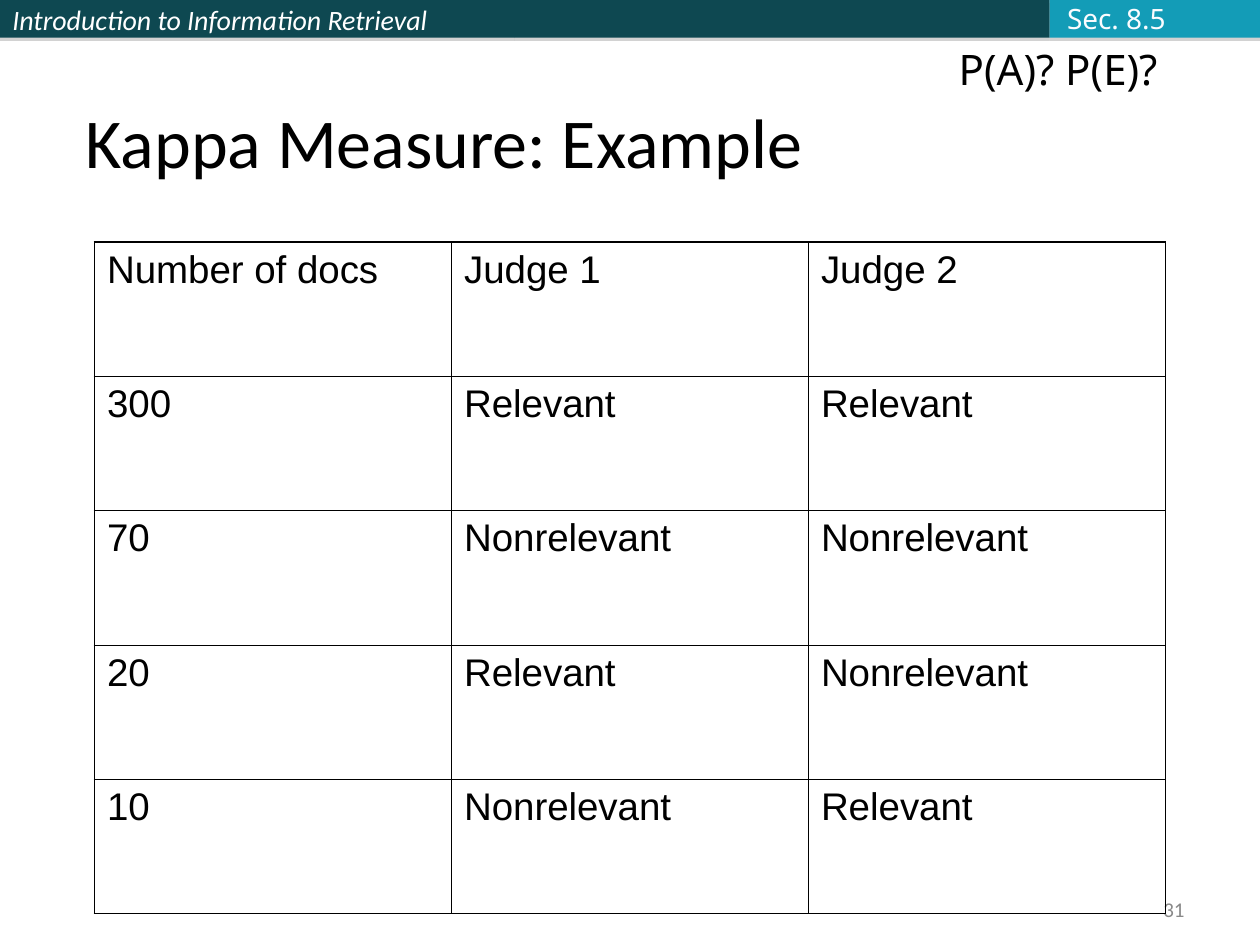
from lxml.etree import SubElement as Sub
from pptx import Presentation
from pptx.dml.color import RGBColor as Rgb
from pptx.enum.shapes import MSO_SHAPE as Form
from pptx.enum.text import MSO_ANCHOR as Anchor, PP_ALIGN as Align
from pptx.oxml.ns import qn
from pptx.util import Inches, Pt

HUES = {"dark": "0E4851", "teal": "139CB7", "white": "FFFFFF", "pale": "FBFCFF",
        "black": "000000", "gray": "898989", "shade": "808080"}

deck = Presentation()
deck.slide_width, deck.slide_height = Inches(10), Inches(7.5)
slide = deck.slides.add_slide(deck.slide_layouts[5])
shapes = slide.shapes


def area(left, top, wide, high):
    """Turn shares of the slide's size into lengths."""
    w, h = deck.slide_width, deck.slide_height
    return int(left * w), int(top * h), int(wide * w), int(high * h)


def write(frame, text, size, font="Calibri", hue="black", italic=False,
          align=Align.LEFT, anchor=Anchor.TOP, wrap=True):
    frame.word_wrap = wrap
    frame.vertical_anchor = anchor
    para = frame.paragraphs[0]
    para.alignment = align
    run = para.add_run()
    run.text = text
    run.font.size, run.font.name, run.font.italic = Pt(size), font, italic
    run.font.color.rgb = Rgb.from_string(HUES[hue])


# Header band: three bars side by side, each with a soft shadow
left = 0
bars = []
for wide, hue in ((0.408, "dark"), (0.425, "dark"), (0.167, "teal")):
    bar = shapes.add_shape(Form.RECTANGLE, *area(left, 0, wide, 0.04))
    bar.fill.solid()
    bar.fill.fore_color.rgb = Rgb.from_string(HUES[hue])
    bar.line.fill.background()
    bar.shadow.inherit = False
    glow = Sub(bar.element.spPr.find(qn("a:effectLst")), qn("a:outerShdw"),
               dist=str(Pt(1.8)), dir="5400000", rotWithShape="0")
    tint = Sub(glow, qn("a:srgbClr"), val=HUES["shade"])
    Sub(tint, qn("a:alpha"), val="35000")
    bars.append(bar)
    left += wide
write(bars[0].text_frame, "Introduction to Information Retrieval", 16,
      hue="white", italic=True, anchor=Anchor.MIDDLE)

# Page number
page = shapes.add_textbox(*area(0.717, 0.944, 0.233, 0.036))
write(page.text_frame, "31", 12, hue="gray", align=Align.RIGHT, anchor=Anchor.MIDDLE)

# Title
title = shapes.title
title.left, title.top, title.width, title.height = area(0.058, 0.056, 0.883, 0.144)
write(title.text_frame, "Kappa Measure: Example", 40, anchor=Anchor.BOTTOM)

# Table of judgments, with thin inner and thicker outer borders
rows = (("Number of docs", "Judge 1", "Judge 2"),
        ("300", "Relevant", "Relevant"),
        ("70", "Nonrelevant", "Nonrelevant"),
        ("20", "Relevant", "Nonrelevant"),
        ("10", "Nonrelevant", "Relevant"))
last_row, last_col = len(rows) - 1, len(rows[0]) - 1
table = shapes.add_table(len(rows), len(rows[0]), *area(0.075, 0.256, 0.85, 0.711)).table
table.first_row = table.horz_banding = False
for r, row in enumerate(rows):
    for c, text in enumerate(row):
        cell = table.cell(r, c)
        write(cell.text_frame, text, 22, font="Arial")
        props = cell._tc.get_or_add_tcPr()
        outer = {"L": c == 0, "R": c == last_col, "T": r == 0, "B": r == last_row}
        for side, edge in outer.items():
            line = Sub(props, qn(f"a:ln{side}"), w=str(Pt(1.08 if edge else 0.45)))
            Sub(Sub(line, qn("a:solidFill")), qn("a:srgbClr"), val=HUES["black"])
        cell.fill.background()

# Question and section label
ask = shapes.add_textbox(*area(0.751, 0.039, 0.178, 0.067))
write(ask.text_frame, "P(A)? P(E)?", 24, font="Noto Sans", wrap=False)
label = shapes.add_textbox(*area(0.837, -0.005, 0.098, 0.049))
write(label.text_frame, "Sec. 8.5", 16, font="Noto Sans", hue="pale",
      anchor=Anchor.MIDDLE, wrap=False)

deck.save("out.pptx")
